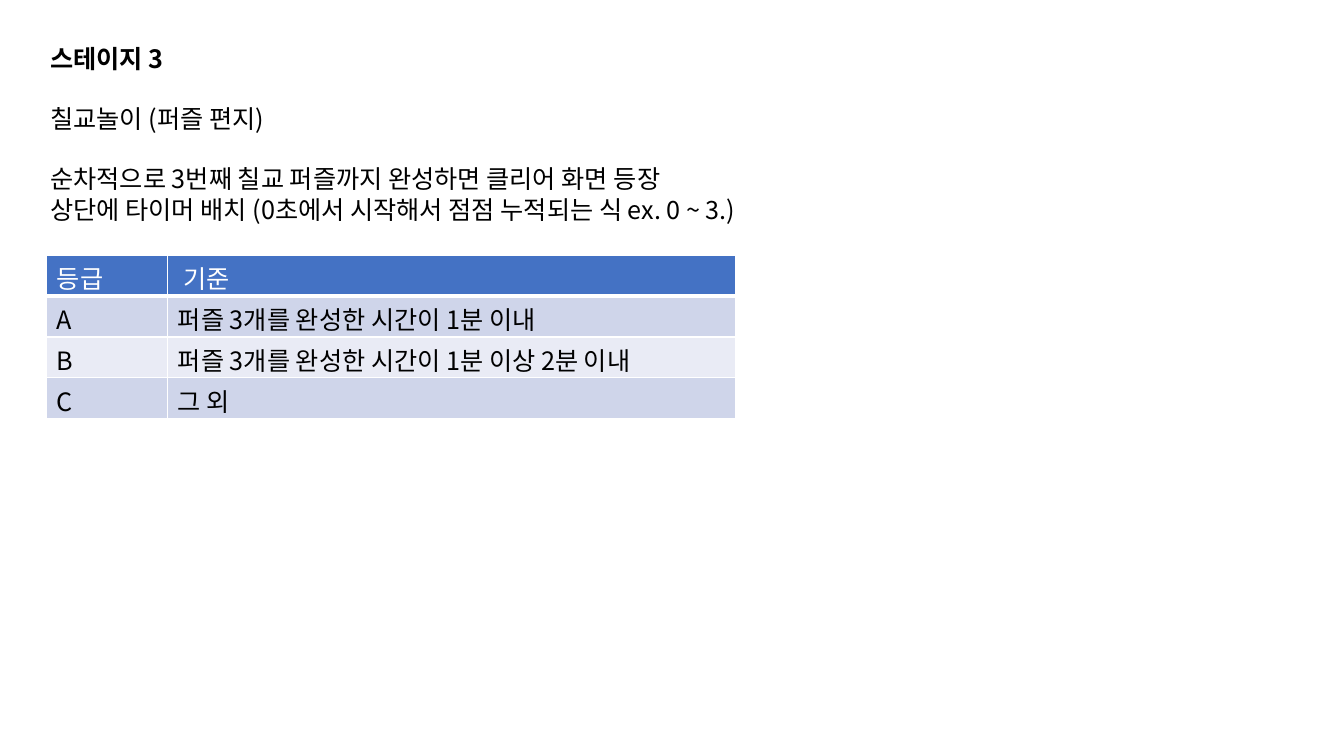
from dataclasses import dataclass

from pptx import Presentation
from pptx.dml.color import RGBColor
from pptx.enum.text import MSO_ANCHOR, PP_ALIGN
from pptx.oxml import parse_xml
from pptx.oxml.ns import nsdecls
from pptx.util import Cm, Pt

TOP = MSO_ANCHOR.TOP
LEFT = PP_ALIGN.LEFT

# Content
TITLE = "스테이지 3"
# Each line with the number of free lines above it
BODY = [
    ("칠교놀이 (퍼즐 편지)", 0),
    ("순차적으로 3번째 칠교 퍼즐까지 완성하면 클리어 화면 등장", 1),
    ("상단에 타이머 배치 (0초에서 시작해서 점점 누적되는 식 ex. 0 ~ 3.)", 0),
]
GRADES = [
    ("등급", " 기준"),
    ("A", "퍼즐 3개를 완성한 시간이 1분 이내"),
    ("B", "퍼즐 3개를 완성한 시간이 1분 이상 2분 이내"),
    ("C", "그 외"),
]


@dataclass(frozen=True)
class Theme:
    font: str = "Noto Sans CJK KR"
    size: float = 18
    pitch: float = 21.6
    ink: str = "000000"
    white: str = "FFFFFF"
    head: str = "4472C4"
    bands: tuple = ("CFD5EA", "E9EBF5")


THEME = Theme()


def write(para, text, color=THEME.ink, bold=False, gap=0):
    """Fill a paragraph; gap counts the free lines above it."""
    para.alignment = LEFT
    para.line_spacing = Pt(THEME.pitch)
    para.space_before = Pt(gap * THEME.pitch)
    run = para.add_run()
    run.text = text
    font = run.font
    font.name, font.size, font.bold = THEME.font, Pt(THEME.size), bold
    font.color.rgb = RGBColor.from_string(color)
    east = f'<a:ea {nsdecls("a")} typeface="{THEME.font}"/>'
    font._element.find("{*}latin").addnext(parse_xml(east))


def setup(frame):
    frame.word_wrap = True
    frame.vertical_anchor = TOP
    frame.margin_left = frame.margin_right = Cm(0.25)
    frame.margin_top = frame.margin_bottom = Cm(0.13)


def edge(cell, side, width):
    """Draw one white cell border, width in points."""
    cell._tc.get_or_add_tcPr().append(parse_xml(
        f'<a:{side} {nsdecls("a")} w="{Pt(width)}"><a:solidFill>'
        f'<a:srgbClr val="{THEME.white}"/></a:solidFill></a:{side}>'))


def add_grades(slide):
    widths = [Cm(3.05), Cm(14.3)]
    row_h = Cm(1.03)
    table = slide.shapes.add_table(
        len(GRADES), len(widths), Cm(1.18), Cm(6.43),
        sum(widths), row_h * len(GRADES)).table
    for col, width in zip(table.columns, widths):
        col.width = width
    for r, grade in enumerate(GRADES):
        table.rows[r].height = row_h
        fill = THEME.bands[(r - 1) % 2] if r else THEME.head
        for c, text in enumerate(grade):
            cell = table.cell(r, c)
            cell.vertical_anchor = TOP
            cell.margin_top, cell.margin_bottom = Cm(0.26), 0
            for side in ("lnL", "lnR", "lnT", "lnB"):
                thick = (r, side) in ((0, "lnB"), (1, "lnT"))
                edge(cell, side, 3 if thick else 1)
            cell.fill.solid()
            cell.fill.fore_color.rgb = RGBColor.from_string(fill)
            write(cell.text_frame.paragraphs[0], text,
                  color=THEME.ink if r else THEME.white)


def main():
    deck = Presentation()
    deck.slide_width, deck.slide_height = Cm(33.87), Cm(19.05)
    slide = deck.slides.add_slide(deck.slide_layouts[5])

    # Title
    left, top, width = Cm(1.02), Cm(0.95), Cm(27.08)
    title = slide.shapes.title
    title.left, title.top, title.width, title.height = left, top, width, Cm(1.03)
    setup(title.text_frame)
    write(title.text_frame.paragraphs[0], TITLE, bold=True)

    # Rules of the stage, two lines below the title
    box = slide.shapes.add_textbox(
        left, top + 2 * Pt(THEME.pitch), width, Cm(3.4))
    frame = box.text_frame
    setup(frame)
    for i, (text, gap) in enumerate(BODY):
        para = frame.add_paragraph() if i else frame.paragraphs[0]
        write(para, text, gap=gap)

    # Grade table
    add_grades(slide)
    deck.save("out.pptx")


if __name__ == "__main__":
    main()
